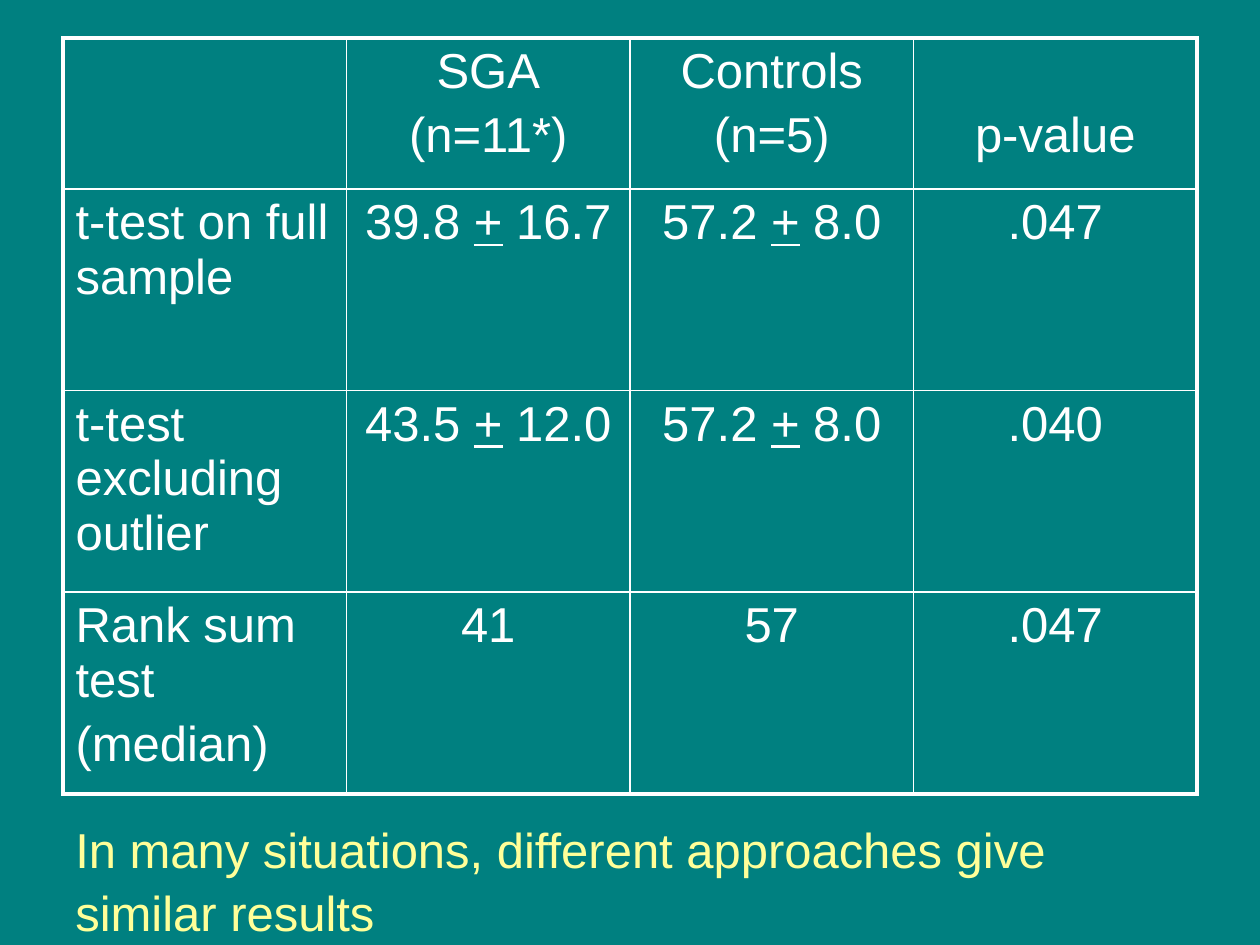
from typing import NamedTuple

from lxml.etree import SubElement
from pptx import Presentation
from pptx.dml.color import RGBColor
from pptx.enum.text import MSO_AUTO_SIZE, PP_ALIGN
from pptx.oxml.ns import qn
from pptx.util import Pt

COLORS = {"background": "008080", "text": "FFFFFF", "note": "FFFF99"}
FONT = {"name": "Arial", "size": Pt(28)}
THIN, THICK = 0.96, 2.21
ROW_HEIGHTS = [86.4, 115.2, 115.2, 115.2]
COL_WIDTH = 162
SPACE_BEFORE = 5.6
PLUS_MINUS = "+"  # underlined plus sign


class Cell(NamedTuple):
    lines: tuple[str, ...] = ()
    top: float = 3.6


# The p-value heading sits level with the second heading line
ROWS = [
    [Cell(), Cell(("SGA", "(n=11*)")), Cell(("Controls", "(n=5)")),
     Cell(("p-value",), 40.5)],
    [Cell(("t-test on full sample",)), Cell(("39.8 + 16.7",)),
     Cell(("57.2 + 8.0",)), Cell((".047",))],
    [Cell(("t-test excluding outlier",)), Cell(("43.5 + 12.0",)),
     Cell(("57.2 + 8.0",)), Cell((".040",))],
    [Cell(("Rank sum test", "(median)")), Cell(("41",)), Cell(("57",)),
     Cell((".047",))],
]


def rgb(name: str) -> RGBColor:
    return RGBColor.from_string(COLORS[name])


def add_run(p, text: str, color: str, underline: bool = False) -> None:
    r = p.add_run()
    r.text = text
    for key, value in {**FONT, "underline": underline}.items():
        setattr(r.font, key, value)
    r.font.color.rgb = rgb(color)


def set_borders(cell, widths: dict[str, float]) -> None:
    tc_pr = cell._tc.get_or_add_tcPr()
    for i, (side, width) in enumerate(widths.items()):
        ln = SubElement(tc_pr, qn(f"a:ln{side}"), w=str(Pt(width)))
        fill = SubElement(ln, qn("a:solidFill"))
        SubElement(fill, qn("a:srgbClr"), val=COLORS["text"])
        tc_pr.insert(i, ln)  # borders come before the fill


def fill_cell(cell, content: Cell, align: PP_ALIGN) -> None:
    cell.fill.background()
    cell.margin_top = Pt(content.top)
    tf = cell.text_frame
    tf.paragraphs[0].font.size = FONT["size"]
    for i, line in enumerate(content.lines):
        p = tf.add_paragraph() if i else tf.paragraphs[0]
        p.alignment = align
        p.space_before = Pt(SPACE_BEFORE if i else 0)
        before, sign, after = line.partition(PLUS_MINUS)
        add_run(p, before, "text")
        if sign:
            add_run(p, sign, "text", underline=True)
            add_run(p, after, "text")


def add_results_table(s) -> None:
    n_rows, n_cols = len(ROWS), len(ROWS[0])
    table = s.shapes.add_table(n_rows, n_cols, Pt(36), Pt(21.6),
                               Pt(COL_WIDTH * n_cols),
                               Pt(sum(ROW_HEIGHTS))).table
    table.first_row = table.horz_banding = False
    for column in table.columns:
        column.width = Pt(COL_WIDTH)
    for i, row in enumerate(ROWS):
        table.rows[i].height = Pt(ROW_HEIGHTS[i])
        for j, content in enumerate(row):
            cell = table.cell(i, j)
            fill_cell(cell, content, PP_ALIGN.CENTER if j else PP_ALIGN.LEFT)
            # Thick frame outside, thin grid inside
            outer = {"L": j == 0, "R": j == n_cols - 1,
                     "T": i == 0, "B": i == n_rows - 1}
            set_borders(cell, {side: THICK if edge else THIN
                               for side, edge in outer.items()})


def add_conclusion(s, text: str) -> None:
    sp = s.shapes.add_textbox(Pt(36), Pt(462.24), Pt(648), Pt(74.16))
    tf = sp.text_frame
    tf.word_wrap = True
    tf.auto_size = MSO_AUTO_SIZE.SHAPE_TO_FIT_TEXT
    p = tf.paragraphs[0]
    p.line_spacing = 1.07
    add_run(p, text, "note")


def main() -> None:
    prs = Presentation()
    prs.slide_width, prs.slide_height = Pt(720), Pt(540)
    s = prs.slides.add_slide(prs.slide_layouts[6])
    s.background.fill.solid()
    s.background.fill.fore_color.rgb = rgb("background")
    add_results_table(s)
    add_conclusion(
        s, "In many situations, different approaches give similar results")
    prs.save("out.pptx")


if __name__ == "__main__":
    main()
